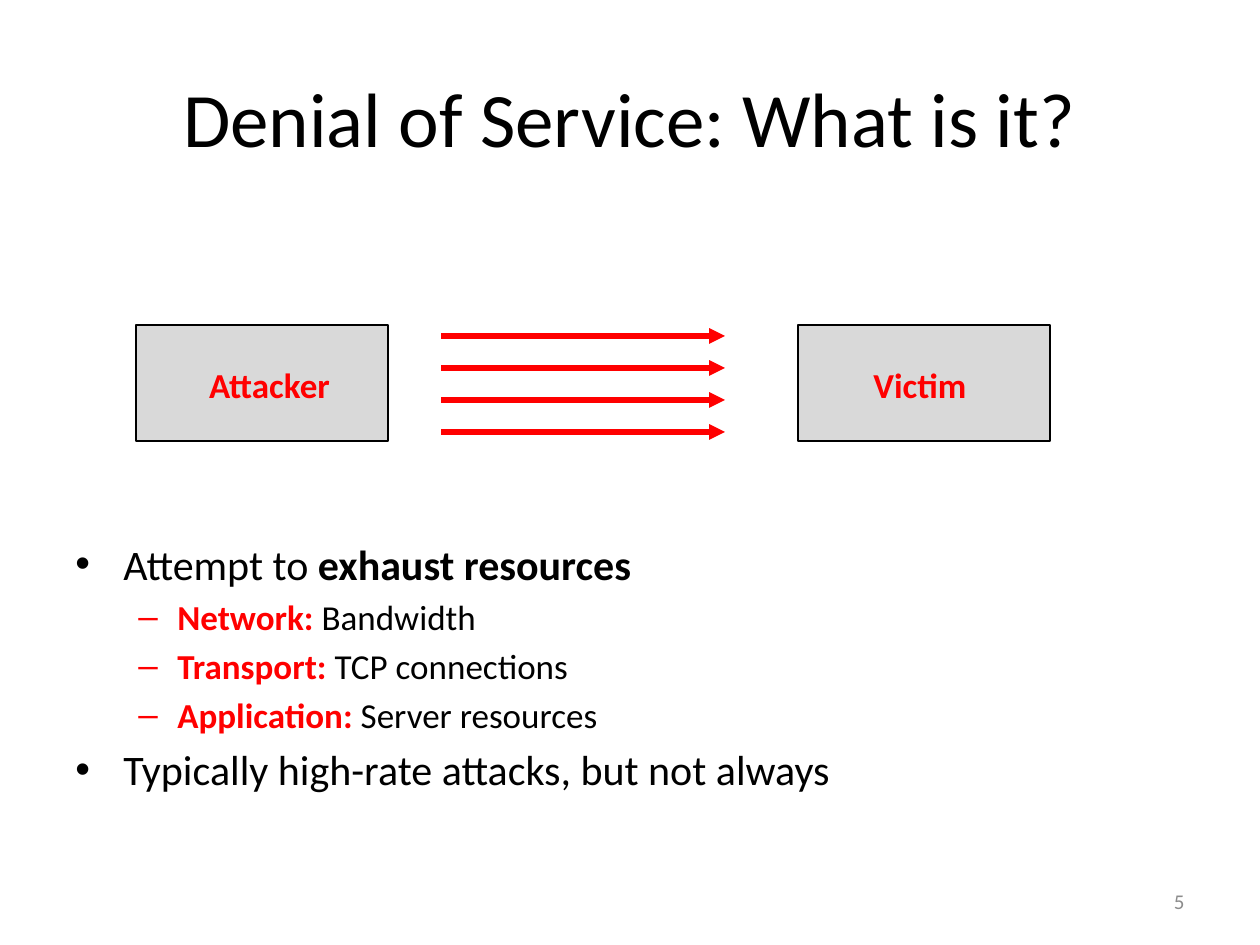
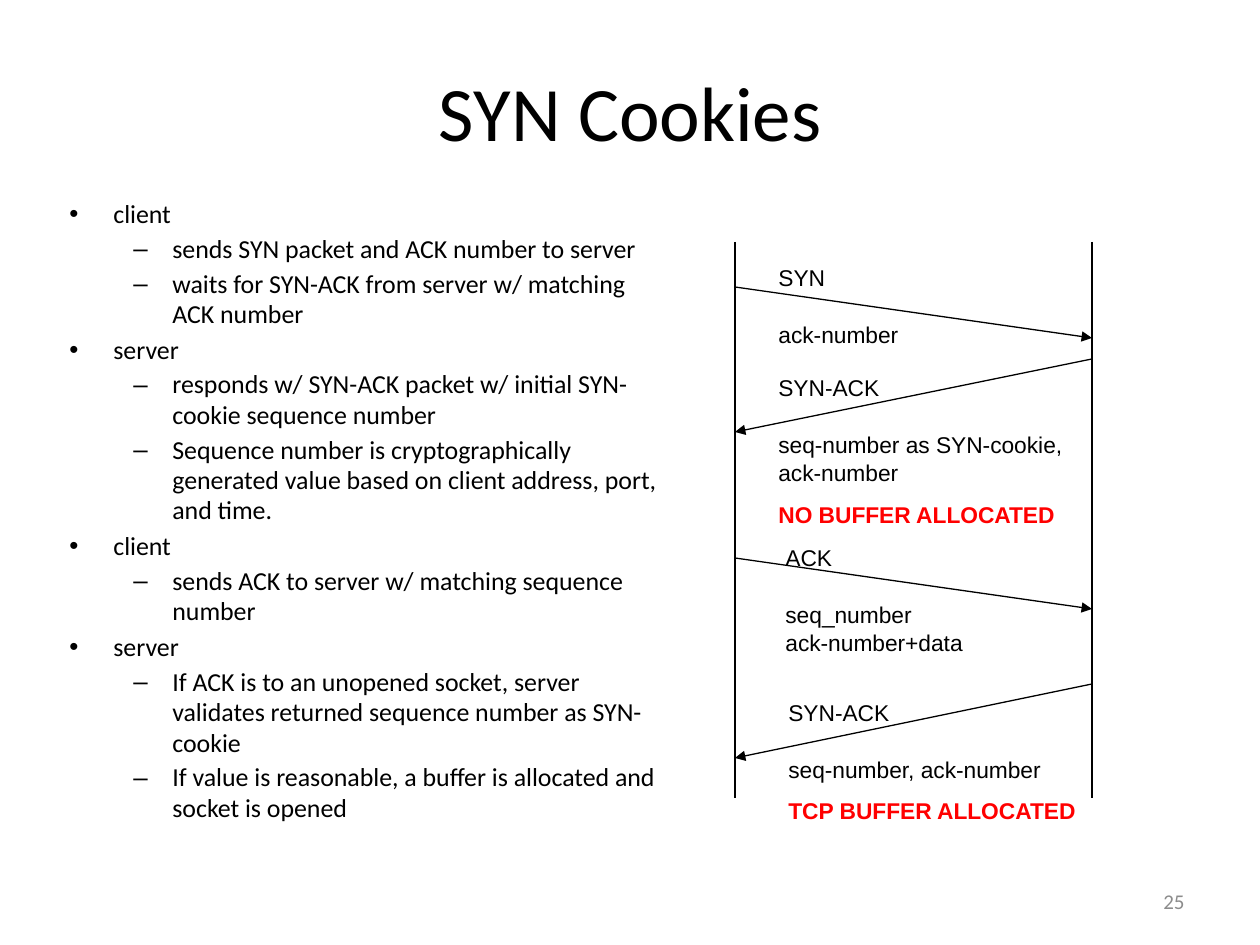
from lxml import etree
from pptx import Presentation
from pptx import util as u
from pptx.dml.color import RGBColor
from pptx.enum import shapes, text
from pptx.oxml import ns

BLACK = RGBColor(0x00, 0x00, 0x00)
RED = RGBColor(0xFF, 0x00, 0x00)
GREY = RGBColor(0xD9, 0xD9, 0xD9)
DIM = RGBColor(0x8C, 0x8C, 0x8C)
SANS, ARIAL = "Calibri", "Arial"
PX = 914400 / 126
LEFT, MID, RIGHT = text.PP_ALIGN.LEFT, text.PP_ALIGN.CENTER, text.PP_ALIGN.RIGHT

DOS = {
    "title": ("Denial of Service: What is it?", (63, 38, 1134, 158)),
    "page": "5",
    "box": (63, 532, 1134, 287),
    "sizes": (24, 20),
    "gaps": (4.8, 4),
    "marks": ((48, -48), (102, -39)),
    "pitch": 1.0,
    "items": [
        (0, [("Attempt to ", BLACK, False), ("exhaust resources", BLACK, True)]),
        (1, [("Network:", RED, True), (" Bandwidth", BLACK, False)]),
        (1, [("Transport:", RED, True), (" TCP connections", BLACK, False)]),
        (1, [("Application:", RED, True), (" Server resources", BLACK, False)]),
        (0, [("Typically high-rate attacks, but not always", BLACK, False)]),
    ],
}
STEPS = [
    ("client", ["sends SYN packet and ACK number to server",
                "waits for SYN-ACK from server w/ matching ACK number"]),
    ("server", ["responds w/ SYN-ACK packet w/ initial SYN-cookie sequence number",
                "Sequence number is cryptographically generated value based on "
                "client address, port, and time."]),
    ("client", ["sends ACK to server w/ matching sequence number"]),
    ("server", ["If ACK is to an unopened socket, server validates returned "
                "sequence number as SYN-cookie",
                "If value is reasonable, a buffer is allocated and socket is opened"]),
]
SYN = {
    "title": ("SYN Cookies", (95, 32, 1071, 158)),
    "page": "25",
    "box": (42, 193, 630, 658),
    "sizes": (14.8, 14.8),
    "gaps": (3, 2.5),
    "marks": ((59, -44), (118, -39)),
    "pitch": 0.98,
    "items": [(lvl, [(line, BLACK, False)])
              for who, acts in STEPS
              for lvl, line in [(0, who)] + [(1, act) for act in acts]],
}
PAGE = (903, 876, 294, 50)
HOSTS = [("Attacker", 136, (179, 181), MID), ("Victim", 798, (861, 160), LEFT)]
HOST_Y, HOST_W, HOST_H = 325, 252, 116
FLOOD = {"x": (441, 725), "top": 336, "step": 32, "count": 4}

CLIENT, SERVER = 735, 1092
LIFE = (242, 798)
SENDS = [(CLIENT, 287, SERVER, 338), (SERVER, 359, CLIENT, 432),
         (CLIENT, 558, SERVER, 609), (SERVER, 684, CLIENT, 758)]
NEXT, PART, WARN = 0.75, 16.5, 8
NOTES = [
    ((766, 258, 158, 92), [("SYN", 0), ("ack-number", PART)]),
    ((766, 368, 325, 159), [("SYN-ACK", 0), ("seq-number as SYN-cookie,", PART),
                            ("ack-number", NEXT), ("NO BUFFER ALLOCATED", WARN)]),
    ((773, 538, 243, 120), [("ACK", 0), ("seq_number", PART),
                            ("ack-number+data", NEXT)]),
    ((776, 693, 326, 132), [("SYN-ACK", 0), ("seq-number, ack-number", PART),
                            ("TCP BUFFER ALLOCATED", WARN)]),
]


def emu(*vals):
    return [u.Emu(round(v * PX)) for v in vals]


def add_run(para, words, size, color=BLACK, bold=False, font=SANS):
    run = para.add_run()
    run.text = words
    run.font.name, run.font.size, run.font.bold = font, u.Pt(size), bold
    run.font.color.rgb = color


def add_box(page, box, anchor=text.MSO_ANCHOR.TOP):
    frame = page.shapes.add_textbox(*emu(*box)).text_frame
    frame.word_wrap = True
    frame.vertical_anchor = anchor
    return frame


def add_label(page, box, words, size, align, color=BLACK):
    para = add_box(page, box, text.MSO_ANCHOR.MIDDLE).paragraphs[0]
    para.alignment = align
    add_run(para, words, size, color)


def next_para(frame, first):
    return frame.paragraphs[0] if first else frame.add_paragraph()


def add_rect(page, box, edge=False):
    rect = page.shapes.add_shape(shapes.MSO_SHAPE.RECTANGLE, *emu(*box))
    rect.shadow.inherit = False
    rect.fill.solid()
    rect.fill.fore_color.rgb = GREY
    if edge:
        rect.line.color.rgb = BLACK
        rect.line.width = u.Pt(0.75)
    else:
        rect.line.fill.background()
    return rect


def add_line(page, ends, color=BLACK, width=0.75, arrow=True):
    line = page.shapes.add_connector(shapes.MSO_CONNECTOR.STRAIGHT, *emu(*ends))
    line.line.color.rgb = color
    line.line.width = u.Pt(width)
    if arrow:
        etree.SubElement(line.line._get_or_add_ln(), ns.qn("a:tailEnd"), type="triangle")
    etree.SubElement(line._element.spPr, ns.qn("a:effectLst"))


def add_list(page, data):
    frame = add_box(page, data["box"])
    for num, (lvl, runs) in enumerate(data["items"]):
        para = next_para(frame, num == 0)
        para.level = lvl
        props = para._p.get_or_add_pPr()
        left, hang = emu(*data["marks"][lvl])
        props.set("marL", str(left))
        props.set("indent", str(hang))
        etree.SubElement(props, ns.qn("a:buFont"), typeface=ARIAL)
        etree.SubElement(props, ns.qn("a:buChar"), char="•–"[lvl])
        para.line_spacing = data["pitch"]
        if num:
            para.space_before = u.Pt(data["gaps"][lvl])
        for words, color, bold in runs:
            add_run(para, words, data["sizes"][lvl], color, bold)


def add_page(deck, data):
    page = deck.slides.add_slide(deck.slide_layouts[6])
    add_label(page, PAGE, data["page"], 12, RIGHT, DIM)
    words, box = data["title"]
    add_label(page, box, words, 44, MID)
    add_list(page, data)
    return page


def draw_flood(page):
    for name, x, (tag_x, tag_w), align in HOSTS:
        add_rect(page, (x, HOST_Y, HOST_W, HOST_H), True)
        frame = add_rect(page, (tag_x, 357, tag_w, 54)).text_frame
        frame.vertical_anchor = text.MSO_ANCHOR.TOP
        frame.paragraphs[0].alignment = align
        add_run(frame.paragraphs[0], name, 20, RED, True)
    start, end = FLOOD["x"]
    for num in range(FLOOD["count"]):
        y = FLOOD["top"] + num * FLOOD["step"]
        add_line(page, (start, y, end, y), RED, 3)


def draw_shake(page):
    for x in (CLIENT, SERVER):
        add_line(page, (x, LIFE[0], x, LIFE[1]), arrow=False)
    for ends in SENDS:
        add_line(page, ends)
    for box, lines in NOTES:
        frame = add_box(page, box)
        for num, (words, gap) in enumerate(lines):
            para = next_para(frame, num == 0)
            if gap:
                para.space_before = u.Pt(gap)
            loud = gap == WARN
            add_run(para, words, 13, RED if loud else BLACK, loud, ARIAL)


def main():
    deck = Presentation()
    deck.slide_width, deck.slide_height = emu(1260, 945)
    draw_flood(add_page(deck, DOS))
    draw_shake(add_page(deck, SYN))
    deck.save("out.pptx")


if __name__ == "__main__":
    main()
